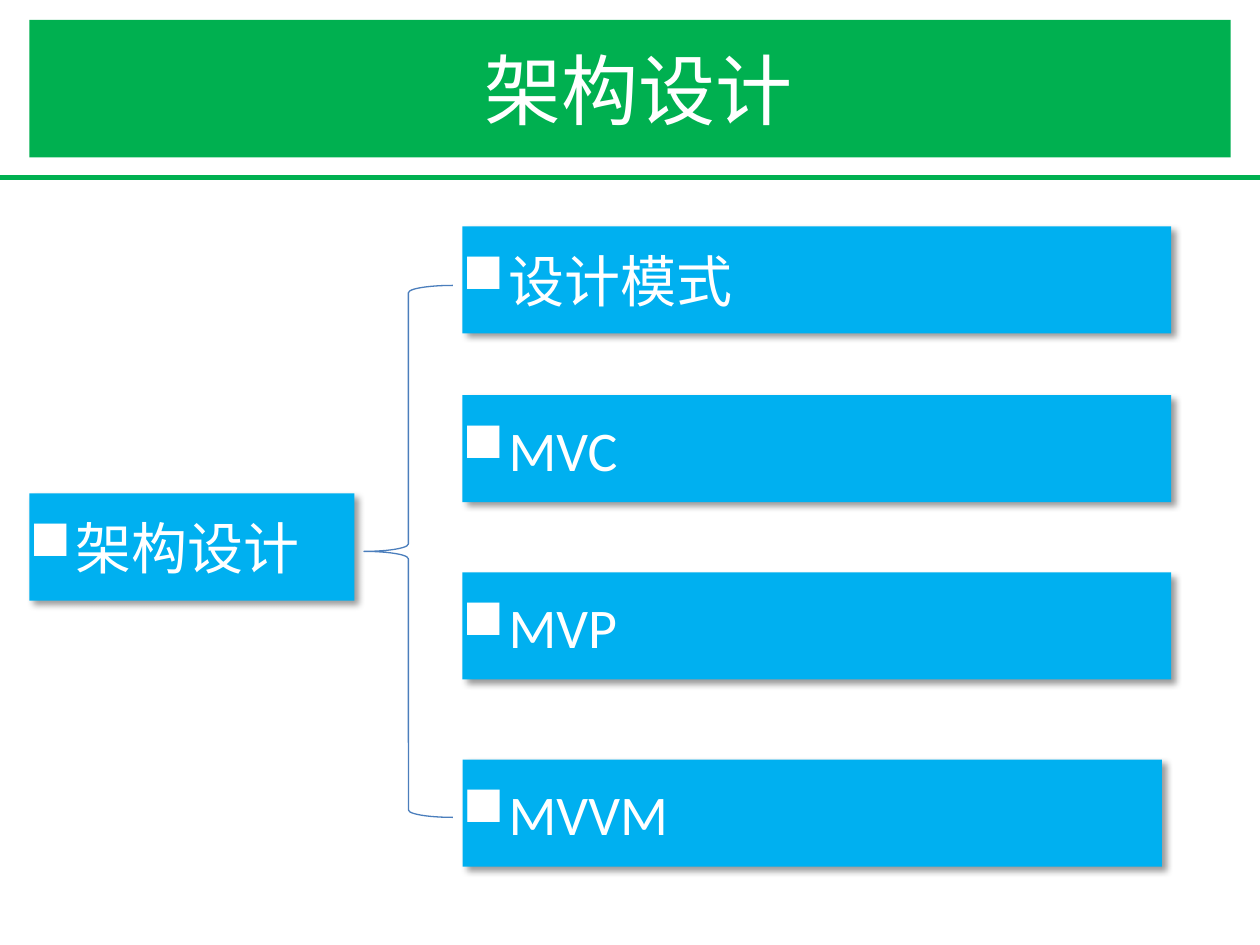
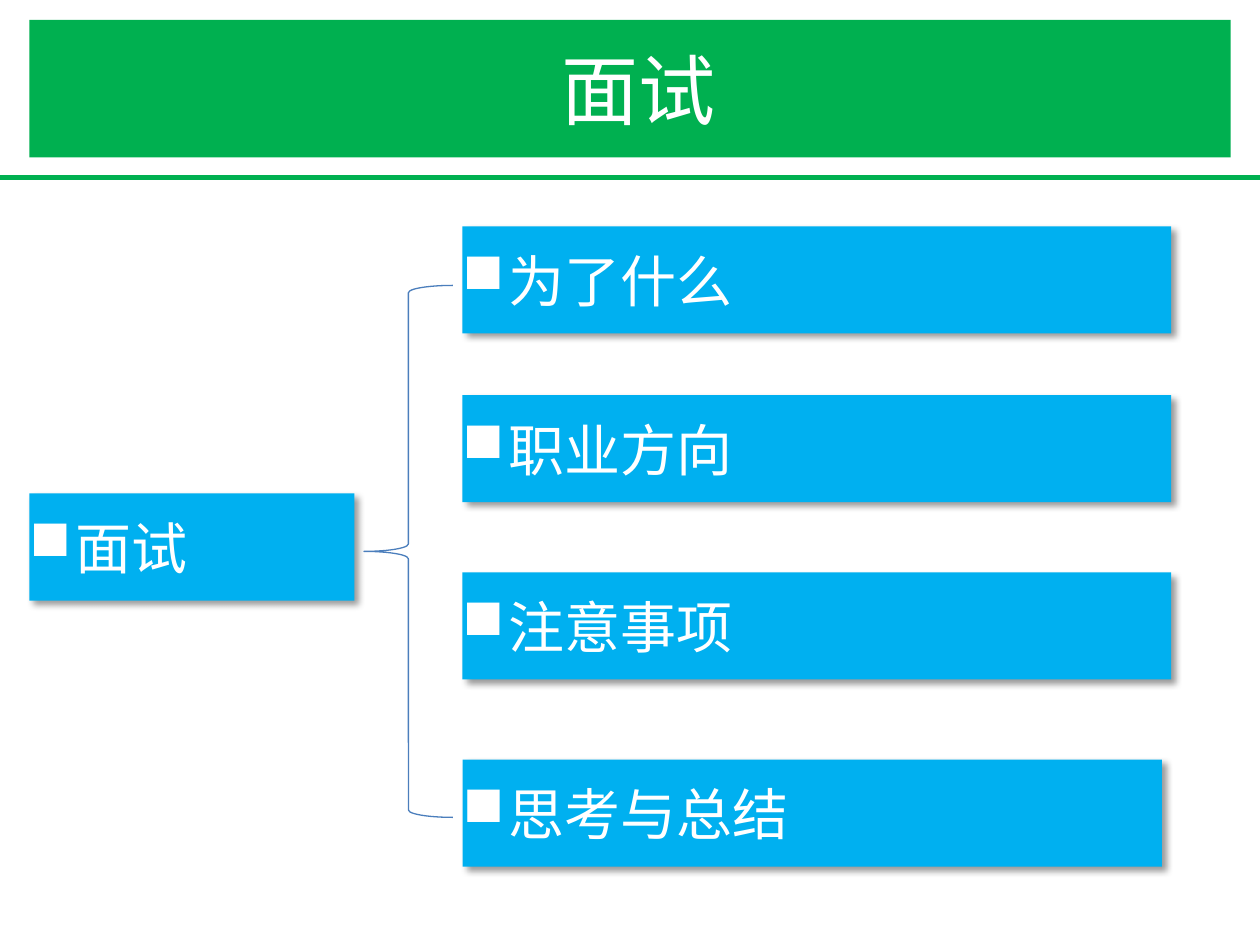
from dataclasses import dataclass

from lxml import etree
from pptx import Presentation
from pptx.dml.color import RGBColor
from pptx.enum.shapes import MSO_CONNECTOR, MSO_SHAPE
from pptx.enum.text import MSO_ANCHOR, MSO_AUTO_SIZE, PP_ALIGN
from pptx.oxml.ns import qn
from pptx.util import Pt

STRAIGHT = MSO_CONNECTOR.STRAIGHT
RECTANGLE, LEFT_BRACE = MSO_SHAPE.RECTANGLE, MSO_SHAPE.LEFT_BRACE
MIDDLE, NO_AUTOFIT = MSO_ANCHOR.MIDDLE, MSO_AUTO_SIZE.NONE
LEFT, CENTER = PP_ALIGN.LEFT, PP_ALIGN.CENTER

# Each slide: a topic, used as title and root box, and its branches
TOPICS = [
    ("架构设计", ["设计模式", "MVC", "MVP", "MVVM"]),
    ("面试", ["为了什么", "职业方向", "注意事项", "思考与总结"]),
]


@dataclass(frozen=True)
class Theme:
    """Colours, font and type sizes of the deck."""
    green: RGBColor = RGBColor(0x00, 0xB0, 0x50)
    blue: RGBColor = RGBColor(0x00, 0xB0, 0xF0)
    brace: RGBColor = RGBColor(0x4B, 0x7E, 0xBC)
    white: RGBColor = RGBColor(0xFF, 0xFF, 0xFF)
    font: str = "Calibri"
    title_size: float = 44
    box_size: float = 32


THEME = Theme()

# Geometry in points
PAGE_WIDTH, PAGE_HEIGHT = 720, 540
MARGIN = 16.8
TITLE_TOP, TITLE_HEIGHT = 11.3, 78.7
TITLE_INSET = 17.2
RULE_TOP, RULE_WEIGHT = 101.5, 3
BOX_HEIGHT = 61.2
ROOT_TOP, ROOT_WIDTH = 282, 185.7
BRANCH_LEFT = 264.3
BRANCH_SLOTS = [(129.3, 405), (225.8, 405), (327.1, 405), (434, 399.6)]  # top, width
BRACE_FRAME = (208, 163.1, 50.7, 304)
BRACE_WEIGHT = 0.75
BULLET_INDENT = 26.3
SHADOW_BLUR, SHADOW_DISTANCE, SHADOW_ANGLE, SHADOW_OPACITY = 4, 3, 45, 40


def place(box, left, top, width, height):
    """Move and size a shape, in points."""
    box.left, box.top, box.width, box.height = map(Pt, (left, top, width, height))


def write(box, text, size, align=LEFT):
    """Put one formatted, vertically centred line into a shape."""
    frame = box.text_frame
    frame.word_wrap = True
    frame.auto_size = NO_AUTOFIT
    frame.vertical_anchor = MIDDLE
    para = frame.paragraphs[0]
    para.alignment = align
    span = para.add_run()
    span.text = text
    span.font.name = THEME.font
    span.font.size = Pt(size)
    span.font.color.rgb = THEME.white
    return para


def add_bullet(para):
    """Give a paragraph a square bullet with a hanging indent."""
    properties = para._p.get_or_add_pPr()
    properties.set("marL", str(Pt(BULLET_INDENT)))
    properties.set("indent", str(-Pt(BULLET_INDENT)))
    etree.SubElement(properties, qn("a:buChar"), char="■")


def add_shadow(box):
    """Give a shape a soft shadow to the lower right."""
    box.shadow.inherit = False
    effects = box._element.spPr.find(qn("a:effectLst"))
    shadow = etree.SubElement(
        effects, qn("a:outerShdw"), blurRad=str(Pt(SHADOW_BLUR)),
        dist=str(Pt(SHADOW_DISTANCE)), dir=str(SHADOW_ANGLE * 60000),
        algn="tl", rotWithShape="0")
    colour = etree.SubElement(shadow, qn("a:srgbClr"), val="000000")
    etree.SubElement(colour, qn("a:alpha"), val=str(SHADOW_OPACITY * 1000))


def add_rule(page):
    """Draw the green line under the title."""
    y = Pt(RULE_TOP)
    rule = page.shapes.add_connector(STRAIGHT, 0, y, Pt(PAGE_WIDTH), y)
    rule.line.color.rgb = THEME.green
    rule.line.width = Pt(RULE_WEIGHT)
    etree.SubElement(rule._element.spPr, qn("a:effectLst"))


def add_title(page, text):
    """Format the title placeholder as a green band."""
    title = page.shapes.title
    place(title, MARGIN, TITLE_TOP, PAGE_WIDTH - 2 * MARGIN, TITLE_HEIGHT)
    title.fill.solid()
    title.fill.fore_color.rgb = THEME.green
    write(title, text, THEME.title_size, align=CENTER)
    title.text_frame.margin_left = Pt(TITLE_INSET)


def add_box(page, text, left, top, width):
    """Draw a blue box with a bulleted label."""
    box = page.shapes.add_shape(
        RECTANGLE, *map(Pt, (left, top, width, BOX_HEIGHT)))
    box.fill.solid()
    box.fill.fore_color.rgb = THEME.blue
    box.line.fill.background()
    add_shadow(box)
    frame = box.text_frame
    frame.margin_left = frame.margin_right = 0
    frame.margin_top = frame.margin_bottom = 0
    add_bullet(write(box, text, THEME.box_size))


def add_brace(page):
    """Draw the brace between the root box and its branches."""
    brace = page.shapes.add_shape(LEFT_BRACE, *map(Pt, BRACE_FRAME))
    brace.fill.background()
    brace.line.color.rgb = THEME.brace
    brace.line.width = Pt(BRACE_WEIGHT)
    brace.shadow.inherit = False


def add_topic(deck, topic, branches):
    """Build one slide: title, root box, brace and branches."""
    page = deck.slides.add_slide(deck.slide_layouts.get_by_name("Title Only"))
    add_rule(page)
    add_title(page, topic)
    add_box(page, topic, MARGIN, ROOT_TOP, ROOT_WIDTH)
    add_brace(page)
    for branch, (top, width) in zip(branches, BRANCH_SLOTS):
        add_box(page, branch, BRANCH_LEFT, top, width)


deck = Presentation()
deck.slide_width, deck.slide_height = Pt(PAGE_WIDTH), Pt(PAGE_HEIGHT)
for topic, branches in TOPICS:
    add_topic(deck, topic, branches)
deck.save("out.pptx")
